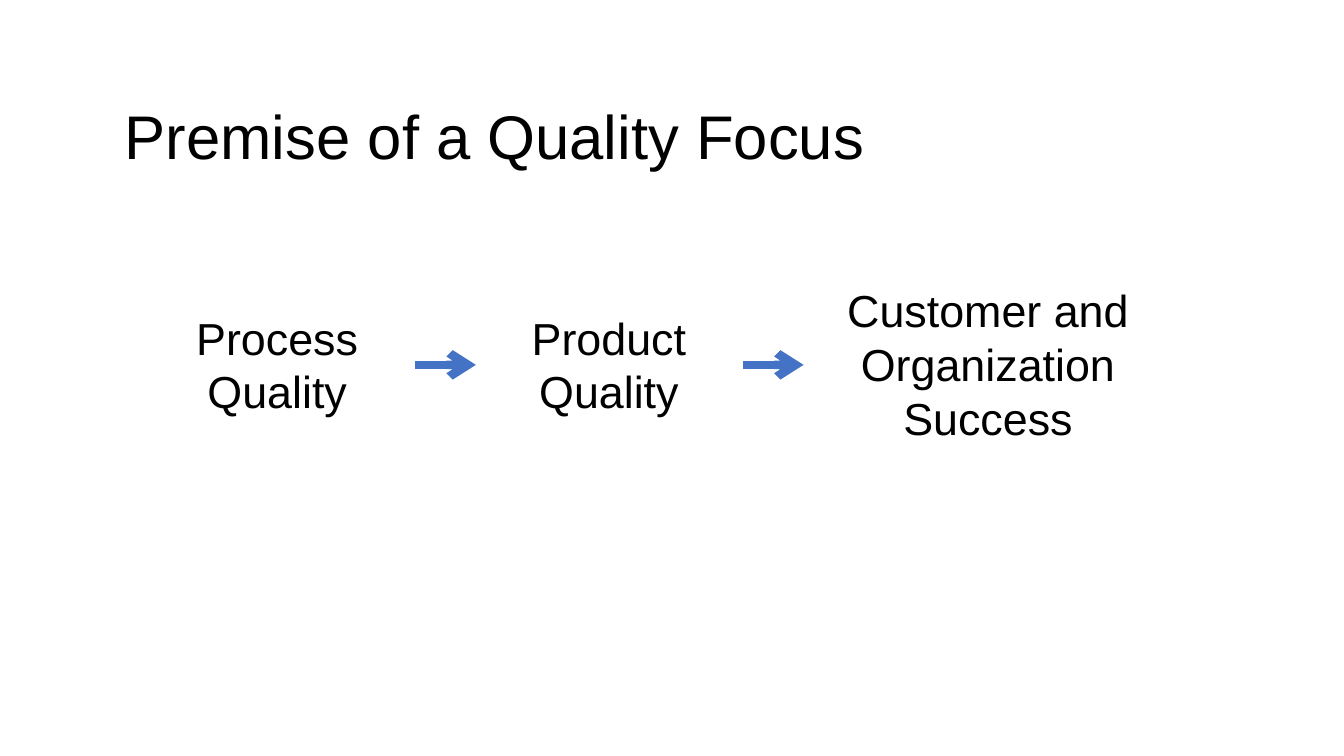
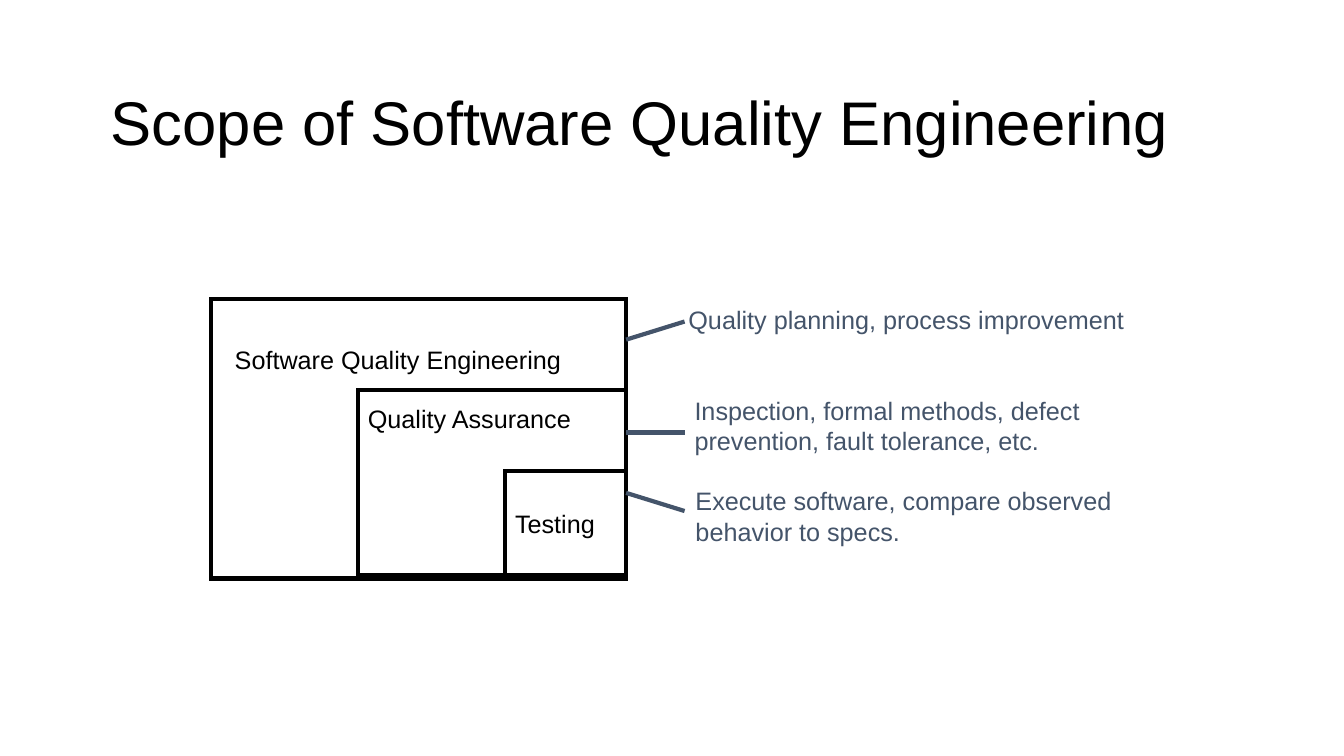
from lxml.etree import SubElement
from pptx import Presentation
from pptx.dml.color import RGBColor
from pptx.enum.shapes import MSO_CONNECTOR as Connector, MSO_SHAPE as Shape
from pptx.enum.text import MSO_ANCHOR as Anchor, MSO_AUTO_SIZE as AutoSize, PP_ALIGN as Align
from pptx.oxml.ns import qn
from pptx.util import Inches, Pt

COLORS = {"ink": "000000", "arrow": "4472C4", "note": "44546A"}
FONT = "Arial"
TITLE = {"size": 44, "line_spacing": 0.9,
         "frame": {"vertical_anchor": Anchor.MIDDLE, "auto_size": AutoSize.NONE}}
STAGE = {"size": 32, "alignment": Align.CENTER}
LABEL = {"size": 18}
NOTE = {"size": 18, "color": "note"}


def set_all(target, values):
    """Set each named attribute of the target."""
    for name, value in values.items():
        setattr(target, name, value)


def write(frame, text, size, color="ink", alignment=Align.LEFT, line_spacing=1.0):
    """Fill a text frame, one paragraph per line of text."""
    frame.text = text
    for paragraph in frame.paragraphs:
        set_all(paragraph, {"alignment": alignment, "line_spacing": line_spacing})
        set_all(paragraph.font, {"name": FONT, "size": Pt(size)})
        paragraph.font.color.rgb = RGBColor.from_string(COLORS[color])


def add_text(slide, box, text, size, frame=None, **style):
    """Add a wrapping text box."""
    text_frame = slide.shapes.add_textbox(*map(Inches, box)).text_frame
    set_all(text_frame, {"word_wrap": True, "auto_size": AutoSize.SHAPE_TO_FIT_TEXT,
                         **(frame or {})})
    write(text_frame, text, size, **style)


def stroke(outlined, color, width):
    """Colour an outline and return its XML element."""
    outlined.line.color.rgb = RGBColor.from_string(COLORS[color])
    outlined.line.width = Pt(width)
    return outlined.element.spPr.get_or_add_ln()


def add_line(slide, start, end, color, width, arrow=False):
    """Add a straight line, with an arrowhead at its end if asked."""
    ends = map(Inches, (*start, *end))
    line = slide.shapes.add_connector(Connector.STRAIGHT, *ends)
    outline = stroke(line, color, width)
    if arrow:
        SubElement(outline, qn("a:tailEnd"), type="arrow")
    SubElement(line.element.spPr, qn("a:effectLst"))


def add_scope(slide, box, text=""):
    """Add an unfilled scope rectangle with an optional label."""
    scope = slide.shapes.add_shape(Shape.RECTANGLE, *map(Inches, box))
    scope.shadow.inherit = False
    scope.fill.background()
    SubElement(stroke(scope, "ink", 3), qn("a:miter"), lim="800000")
    if text:
        set_all(scope.text_frame, {"word_wrap": False, "vertical_anchor": Anchor.MIDDLE})
        write(scope.text_frame, text, **LABEL)


def add_slide(deck, title, box):
    """Add a blank slide with a title."""
    slide = deck.slides.add_slide(deck.slide_layouts[6])
    add_text(slide, box, title, **TITLE)
    return slide


def build_premise(deck):
    """Show process quality leading to product quality and success."""
    slide = add_slide(deck, "Premise of a Quality Focus", (1.14, 0.87, 10.03, 1.03))
    middle, gap = 3.62, 0.6
    stages = [("Process Quality", 1.38, 2.74, 1.18),
              ("Product Quality", 4.72, 2.64, 1.18),
              ("Customer and Organization\nSuccess", 7.97, 3.66, 1.72)]
    for text, left, width, height in stages:
        add_text(slide, (left, middle - height / 2, width, height), text, **STAGE)
    for _, left, _, _ in stages[1:]:
        add_line(slide, (left - gap, middle), (left, middle), "arrow", 6, arrow=True)


def build_scope(deck):
    """Show the nested scopes of quality work and their activities."""
    slide = add_slide(deck, "Scope of Software Quality Engineering", (1, 0.68, 10.93, 1.14))
    right = 6.21
    for left, top, bottom, text in [(5.01, 4.67, 5.71, "Testing"),
                                    (3.55, 3.87, 5.71, ""),
                                    (2.09, 2.97, 5.74, "")]:
        add_scope(slide, (left, top, right - left, bottom - top), text)
    add_text(slide, (3.55, 3.95, 2.33, 0.4), "Quality Assurance", **LABEL)
    add_text(slide, (2.23, 3.37, 3.66, 0.4), "Software Quality Engineering", **LABEL)
    activities = [
        ("Quality planning, process improvement", (6.73, 2.97, 5.13, 0.4), 3.37, 3.19),
        ("Inspection, formal methods, defect prevention, fault tolerance, etc.",
         (6.79, 3.87, 5.13, 0.71), 4.29, 4.29),
        ("Execute software, compare observed behavior to specs.",
         (6.8, 4.77, 4.33, 0.71), 4.89, 5.07)]
    for text, box, start, end in activities:
        add_text(slide, box, text, **NOTE)
        add_line(slide, (right, start), (6.79, end), "note", 3)


def main():
    """Build and save the deck."""
    deck = Presentation()
    set_all(deck, {"slide_width": Inches(13.33), "slide_height": Inches(7.5)})
    build_premise(deck)
    build_scope(deck)
    deck.save("out.pptx")


if __name__ == "__main__":
    main()
